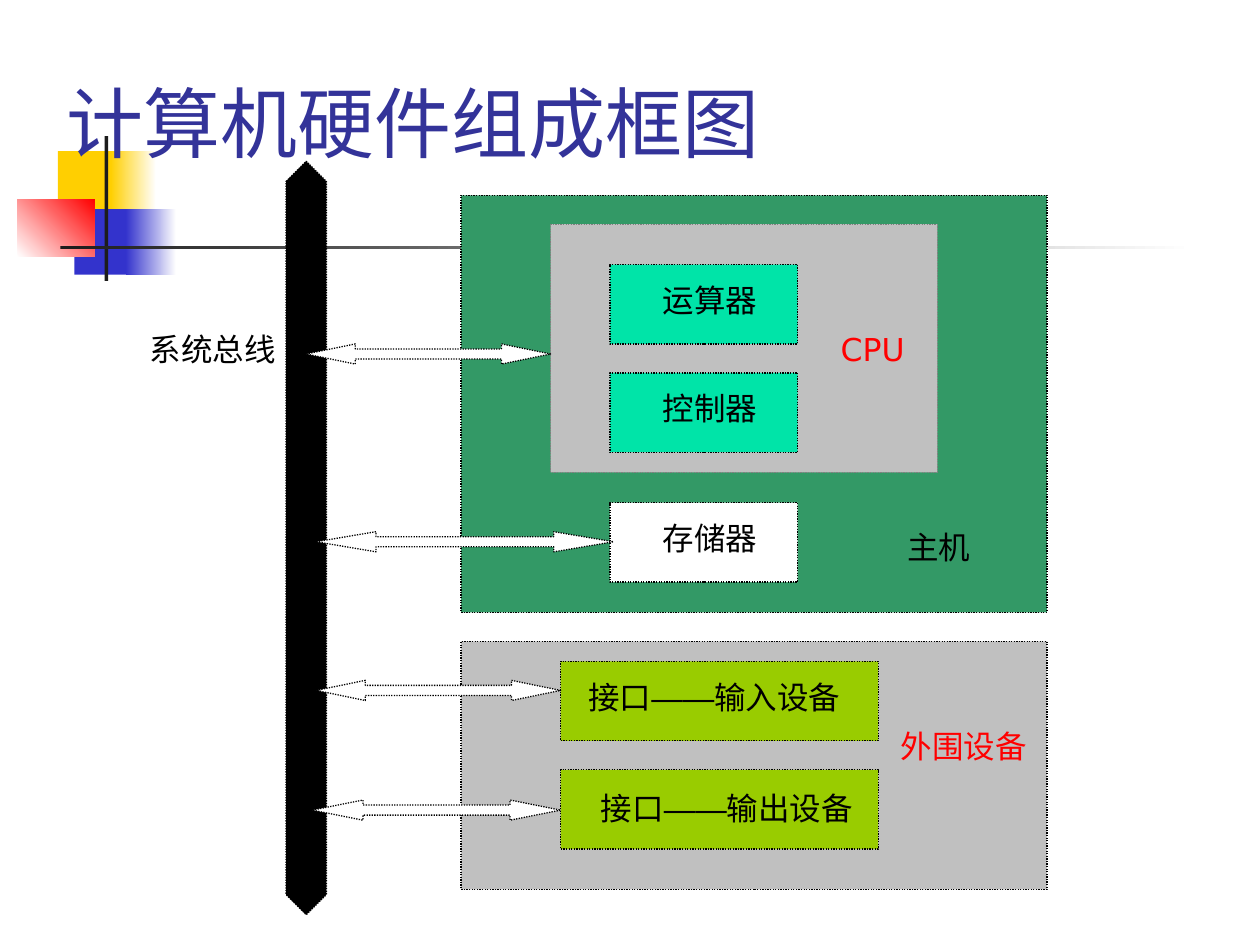
from lxml import etree
from pptx import Presentation
from pptx.dml.color import RGBColor
from pptx.enum.dml import MSO_LINE
from pptx.enum.shapes import MSO_SHAPE
from pptx.enum.text import MSO_ANCHOR, MSO_AUTO_SIZE, PP_ALIGN
from pptx.oxml.ns import qn
from pptx.util import Inches, Pt

RECT = MSO_SHAPE.RECTANGLE
ACROSS = MSO_SHAPE.LEFT_RIGHT_ARROW
UP_DOWN = MSO_SHAPE.UP_DOWN_ARROW
DOTTED = MSO_LINE.ROUND_DOT
CENTER, LEFT = PP_ALIGN.CENTER, PP_ALIGN.LEFT
BOTTOM = MSO_ANCHOR.BOTTOM
FIT_SHAPE, NO_FIT = MSO_AUTO_SIZE.SHAPE_TO_FIT_TEXT, MSO_AUTO_SIZE.NONE

BLACK = RGBColor(0x00, 0x00, 0x00)
WHITE = RGBColor(0xFF, 0xFF, 0xFF)
RED = RGBColor(0xFF, 0x00, 0x00)
YELLOW = RGBColor(0xFF, 0xCF, 0x01)
BLUE = RGBColor(0x33, 0x33, 0xCC)
CHARCOAL = RGBColor(0x1C, 0x1C, 0x1C)
TITLE_BLUE = RGBColor(0x33, 0x33, 0x99)
GREEN = RGBColor(0x33, 0x99, 0x66)
SILVER = RGBColor(0xC0, 0xC0, 0xC0)
GRAY = RGBColor(0x80, 0x80, 0x80)
MINT = RGBColor(0x00, 0xE4, 0xA8)
LIME = RGBColor(0x99, 0xCC, 0x00)

TITLE_FONT, LABEL_FONT, DASH_FONT = "Cabin", "DejaVu Sans", "Arial"


def place(left, top, width, height):
    return Inches(left), Inches(top), Inches(width), Inches(height)


def format_run(run, font_name, size, color):
    run.font.size = Pt(size)
    run.font.name = font_name
    run.font.color.rgb = color
    # Chinese characters take the East Asian typeface
    east_asian = etree.SubElement(run.font._element, qn("a:ea"))
    east_asian.set("typeface", font_name)


def add_decoration(slide, box, color, end_color=None, angle=0):
    """Borderless rectangle, solid or fading to end_color."""
    block = slide.shapes.add_shape(RECT, *place(*box))
    block.shadow.inherit = False
    block.line.fill.background()
    if end_color is None:
        block.fill.solid()
        block.fill.fore_color.rgb = color
        return
    block.fill.gradient()
    block.fill.gradient_angle = angle
    for stop, position, stop_color in zip(block.fill.gradient_stops, (0, 1), (color, end_color)):
        stop.position = position
        stop.color.rgb = stop_color


def add_dotted(slide, kind, box, fill, outline=BLACK, adjustments=()):
    figure = slide.shapes.add_shape(kind, *place(*box))
    figure.shadow.inherit = False
    figure.fill.solid()
    figure.fill.fore_color.rgb = fill
    figure.line.color.rgb = outline
    figure.line.width = Pt(0.75)
    figure.line.dash_style = DOTTED
    for index, value in enumerate(adjustments):
        figure.adjustments[index] = value


def add_label(slide, left, top, width, parts, color=BLACK, wrap=False):
    """Centred label; parts are (text, font) pairs."""
    label = slide.shapes.add_textbox(*place(left, top, width, 0.4))
    frame = label.text_frame
    frame.word_wrap = wrap
    frame.auto_size = FIT_SHAPE
    paragraph = frame.paragraphs[0]
    paragraph.alignment = CENTER
    for text, font_name in parts:
        run = paragraph.add_run()
        run.text = text
        format_run(run, font_name, 18, color)


def add_title(slide, text):
    title = slide.shapes.title
    title.left, title.top, title.width, title.height = place(0.43, 0, 9, 1.38)
    frame = title.text_frame
    frame.text = text
    frame.vertical_anchor = BOTTOM
    frame.auto_size = NO_FIT
    frame.paragraphs[0].alignment = LEFT
    format_run(frame.paragraphs[0].runs[0], TITLE_FONT, 44, TITLE_BLUE)
    # Bring the title in front of the corner decoration
    title.element.getparent().append(title.element)


def add_corner(slide):
    add_decoration(slide, (0.46, 1.2, 0.48, 0.52), YELLOW)
    add_decoration(slide, (0.88, 1.2, 0.36, 0.52), YELLOW, WHITE)
    add_decoration(slide, (0.59, 1.66, 0.46, 0.52), BLUE)
    add_decoration(slide, (1, 1.66, 0.4, 0.52), BLUE, WHITE)
    add_decoration(slide, (0.14, 1.58, 0.61, 0.46), WHITE, RED, 45)
    add_decoration(slide, (0.83, 1.08, 0.03, 1.15), CHARCOAL)
    add_decoration(slide, (0.48, 1.95, 9, 0.03), CHARCOAL, WHITE)


def add_host(slide):
    add_dotted(slide, RECT, (3.66, 1.55, 4.65, 3.31), GREEN)
    add_label(slide, 7.1, 4.14, 0.7, [("主机", LABEL_FONT)])
    add_dotted(slide, RECT, (4.37, 1.78, 3.07, 1.97), SILVER, GRAY)
    add_label(slide, 6.57, 2.57, 0.71, [("CPU", LABEL_FONT)], RED, wrap=True)
    for name, top, fill in (("运算器", 2.1, MINT), ("控制器", 2.96, MINT), ("存储器", 3.99, WHITE)):
        add_dotted(slide, RECT, (4.84, top, 1.49, 0.63), fill)
        add_label(slide, 5.16, top + 0.08, 0.95, [(name, LABEL_FONT)])


def add_peripherals(slide):
    add_dotted(slide, RECT, (3.66, 5.09, 4.65, 1.97), SILVER)
    add_label(slide, 7.05, 5.72, 1.2, [("外围设备", LABEL_FONT)], RED)
    for top in (5.25, 6.11):
        add_dotted(slide, RECT, (4.45, top, 2.52, 0.63), LIME)
    input_parts = [("接口", LABEL_FONT), ("——", DASH_FONT), ("输入设备", LABEL_FONT)]
    add_label(slide, 4.53, 5.33, 2.28, input_parts, wrap=True)
    add_label(slide, 4.67, 6.21, 2.2, [("接口——", DASH_FONT), ("输出设备", LABEL_FONT)])


def add_bus(slide):
    links = ((2.51, 4.22, 2.36, 2.97), (2.43, 2.73, 1.94, 2.44),
             (2.51, 5.4, 1.94, 2.44), (2.48, 6.35, 1.97, 2.51))
    add_dotted(slide, UP_DOWN, (2.27, 1.28, 0.32, 5.98), BLACK, adjustments=(0.5, 2.03))
    for left, top, width, head in links:
        add_dotted(slide, ACROSS, (left, top, width, 0.16), WHITE, adjustments=(0.5, head))
    add_label(slide, 1.09, 2.57, 1.2, [("系统总线", LABEL_FONT)])


def main():
    presentation = Presentation()
    presentation.slide_width, presentation.slide_height = Inches(10), Inches(7.5)
    slide = presentation.slides.add_slide(presentation.slide_layouts[5])
    add_corner(slide)
    add_title(slide, "计算机硬件组成框图")
    add_host(slide)
    add_peripherals(slide)
    add_bus(slide)
    presentation.save("out.pptx")


if __name__ == "__main__":
    main()
